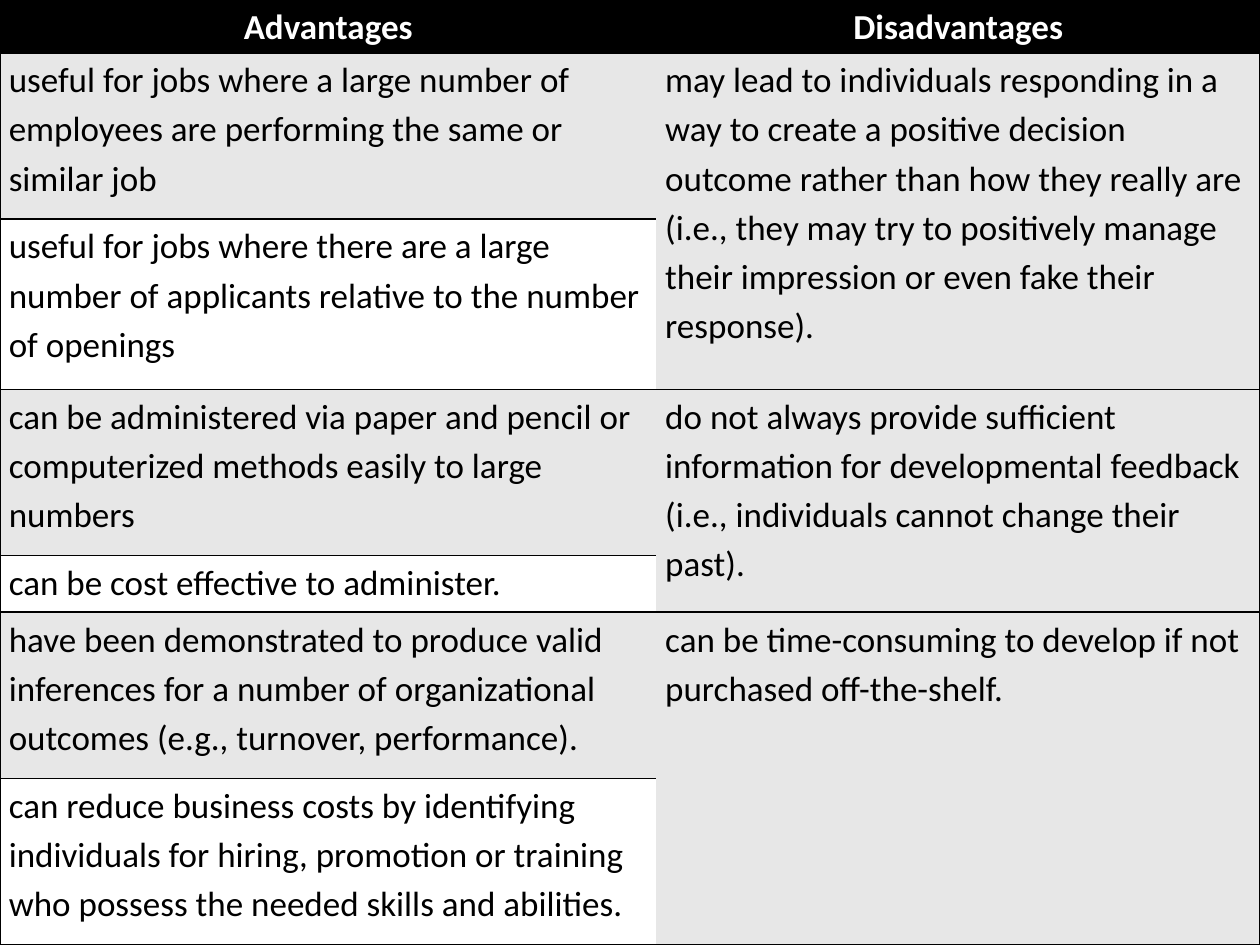
from dataclasses import dataclass

from lxml import etree
from pptx import Presentation
from pptx import util as u
from pptx.dml.color import RGBColor
from pptx.enum import text
from pptx.oxml.ns import qn
from pptx.table import _Cell

COLORS = {"ink": "000000", "paper": "FFFFFF", "band": "E7E7E7"}
COLUMN_WIDTHS = [5.21, 4.79]
ROW_HEIGHTS = [0.42, 1.32, 1.35, 1.32, 0.45, 1.32, 1.32]


@dataclass
class Entry:
    row: int
    column: int
    wording: str
    fill: str = "band"
    color: str = "ink"
    heading: bool = False


ADVANTAGES = [
    "useful for jobs where a large number of employees are performing "
    "the same or similar job",
    "useful for jobs where there are a large number of applicants relative "
    "to the number of openings",
    "can be administered via paper and pencil or computerized methods "
    "easily to large numbers",
    "can be cost effective to administer.",
    "have been demonstrated to produce valid inferences for a number of "
    "organizational outcomes (e.g., turnover, performance).",
    "can reduce business costs by identifying individuals for hiring, "
    "promotion or training who possess the needed skills and abilities.",
]
DISADVANTAGES = [
    "may lead to individuals responding in a way to create a positive decision "
    "outcome rather than how they really are (i.e., they may try to positively "
    "manage their impression or even fake their response).",
    "do not always provide sufficient information for developmental feedback "
    "(i.e., individuals cannot change their past).",
    "can be time-consuming to develop if not purchased off-the-shelf.",
]


def set_borders(cell: _Cell, column: int) -> None:
    """Rule every edge except the one between the two columns."""
    properties = cell._tc.get_or_add_tcPr()
    inner_edge = "lnR" if column == 0 else "lnL"
    for edge in ("lnL", "lnR", "lnT", "lnB"):
        line = etree.SubElement(properties, qn(f"a:{edge}"), w=str(u.Pt(1)))
        if edge == inner_edge:
            etree.SubElement(line, qn("a:noFill"))
        else:
            solid = etree.SubElement(line, qn("a:solidFill"))
            etree.SubElement(solid, qn("a:srgbClr"), val=COLORS["ink"])


def write_entry(cell: _Cell, entry: Entry) -> None:
    cell.fill.solid()
    cell.fill.fore_color.rgb = RGBColor.from_string(COLORS[entry.fill])
    cell.margin_left = cell.margin_right = u.Inches(0.07)
    cell.margin_top = cell.margin_bottom = 0
    paragraph = cell.text_frame.paragraphs[0]
    paragraph.line_spacing = 1.15
    paragraph.alignment = (
        text.PP_ALIGN.CENTER if entry.heading else text.PP_ALIGN.LEFT
    )
    run = paragraph.add_run()
    run.text = entry.wording
    run.font.name = "Calibri"
    run.font.size = u.Pt(20)
    run.font.bold = entry.heading
    run.font.color.rgb = RGBColor.from_string(COLORS[entry.color])


def main() -> None:
    deck = Presentation()
    deck.slide_width, deck.slide_height = u.Inches(10), u.Inches(7.5)
    slide = deck.slides.add_slide(deck.slide_layouts[6])

    # Table grid
    comparison = slide.shapes.add_table(
        len(ROW_HEIGHTS), len(COLUMN_WIDTHS), 0, 0, u.Inches(10), u.Inches(7.5)
    ).table
    for column, width in zip(comparison.columns, COLUMN_WIDTHS):
        column.width = u.Inches(width)
    for row, height in zip(comparison.rows, ROW_HEIGHTS):
        row.height = u.Inches(height)
    for row in range(len(ROW_HEIGHTS)):
        for column in range(len(COLUMN_WIDTHS)):
            set_borders(comparison.cell(row, column), column)

    # Headings, banded advantages, and disadvantages over two rows each
    entries = [
        Entry(0, column, heading, "ink", "paper", True)
        for column, heading in enumerate(["Advantages", "Disadvantages"])
    ]
    for row, advantage in enumerate(ADVANTAGES, start=1):
        entries.append(Entry(row, 0, advantage, "band" if row % 2 else "paper"))
    for pair, disadvantage in enumerate(DISADVANTAGES):
        row = 1 + 2 * pair
        comparison.cell(row, 1).merge(comparison.cell(row + 1, 1))
        entries.append(Entry(row, 1, disadvantage))
    for entry in entries:
        write_entry(comparison.cell(entry.row, entry.column), entry)

    deck.save("out.pptx")


if __name__ == "__main__":
    main()
